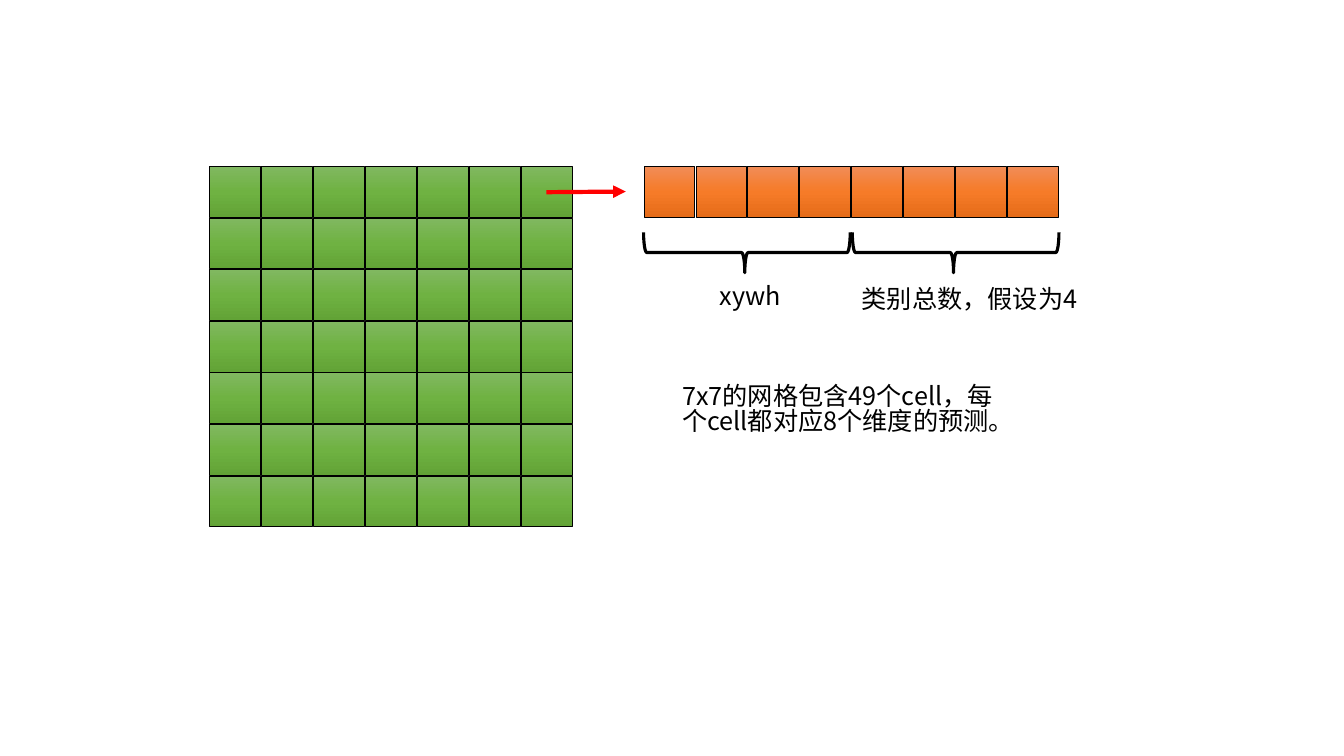
from copy import deepcopy

from lxml.etree import SubElement
from pptx import Presentation
from pptx.dml.color import RGBColor
from pptx.enum.shapes import MSO_CONNECTOR, MSO_SHAPE
from pptx.enum.text import MSO_ANCHOR, MSO_AUTO_SIZE
from pptx.oxml.ns import qn
from pptx.util import Pt

FONT = "Noto Sans CJK SC"
GREEN = ("81B861", "6FB242", "62A336")
ORANGE = ("F18C57", "F67B28", "E56C19")
CELL = 36.3
PITCH_X, PITCH_Y = 37.08, 36.86
GRID_LEFT, TOP = 149.8, 118.8
VECTOR_LEFT = 460
GRID_SIZE, VECTOR_SIZE = 7, 8


def color(hex_text):
    """Turn a hex string into a colour."""
    return RGBColor.from_string(hex_text)


def set_all(target, values):
    """Set each named attribute of target."""
    for name, value in values.items():
        setattr(target, name, value)


def set_line(s, hex_text, width):
    """Give a shape or connector a solid line."""
    s.line.color.rgb = color(hex_text)
    s.line.width = Pt(width)


def set_gradient(s, colors):
    """Fill a shape from top to bottom with three evenly spaced colours."""
    s.fill.gradient()
    s.fill.gradient_angle = 270
    stops = s._element.spPr.find(qn("a:gradFill")).find(qn("a:gsLst"))
    stops.append(deepcopy(stops[-1]))
    for i, stop in enumerate(s.fill.gradient_stops):
        stop.position = i / 2
        stop.color.rgb = color(colors[i])


def add_row(shapes, left, top, count, colors):
    """Add a row of equal cells."""
    for col in range(count):
        s = shapes.add_shape(MSO_SHAPE.RECTANGLE, Pt(left + col * PITCH_X),
                             Pt(top), Pt(CELL), Pt(CELL))
        s.shadow.inherit = False
        set_gradient(s, colors)
        set_line(s, "000000", 0.5)


def add_brace(shapes, left):
    """Add a brace that opens upward and points down."""
    s = shapes.add_shape(MSO_SHAPE.LEFT_BRACE, Pt(left), Pt(106.6),
                         Pt(28.8), Pt(147.6))
    s.rotation = 270
    s.adjustments[0], s.adjustments[1] = 0.08, 0.49
    s.shadow.inherit = False
    s.fill.background()
    set_line(s, "000000", 2.25)


def add_arrow(shapes, x1, y1, x2, y2):
    """Add a red arrow."""
    s = shapes.add_connector(MSO_CONNECTOR.STRAIGHT,
                             Pt(x1), Pt(y1), Pt(x2), Pt(y2))
    set_line(s, "FF0000", 3)
    SubElement(s.line._get_or_add_ln(), qn("a:tailEnd"), type="triangle")
    SubElement(s._element.spPr, qn("a:effectLst"))


def add_text(shapes, text, left, top, width, height):
    """Add a wrapped text box with tight lines."""
    tf = shapes.add_textbox(Pt(left), Pt(top), Pt(width), Pt(height)).text_frame
    set_all(tf, {"word_wrap": True, "vertical_anchor": MSO_ANCHOR.TOP,
                 "auto_size": MSO_AUTO_SIZE.SHAPE_TO_FIT_TEXT,
                 "margin_top": Pt(5.5), "margin_bottom": Pt(1.7)})
    p = tf.paragraphs[0]
    p.line_spacing = 0.83
    r = p.add_run()
    r.text = text
    set_all(r.font, {"name": FONT, "size": Pt(18)})
    r.font.color.rgb = color("000000")
    SubElement(r.font._element, qn("a:ea"), typeface=FONT)


def main():
    """Build the slide and save it."""
    prs = Presentation()
    set_all(prs, {"slide_width": Pt(960), "slide_height": Pt(540)})
    shapes = prs.slides.add_slide(prs.slide_layouts[6]).shapes

    for row in range(GRID_SIZE):
        group = shapes.add_group_shape()
        add_row(group.shapes, GRID_LEFT, TOP + row * PITCH_Y, GRID_SIZE, GREEN)
    add_row(shapes, VECTOR_LEFT, TOP, VECTOR_SIZE, ORANGE)

    for left in (519.1, 668.2):
        add_brace(shapes, left)
    add_text(shapes, "xywh", 506.9, 198.7, 100, 28.8)
    add_text(shapes, "类别总数，假设为4", 608.4, 200.2, 194.4, 28.8)
    add_arrow(shapes, 390.3, 137.3, 447, 136.8)
    add_text(shapes, "7x7的网格包含49个cell，每个cell都对应8个维度的预测。",
             480.2, 270, 239, 51)
    prs.save("out.pptx")


main()
